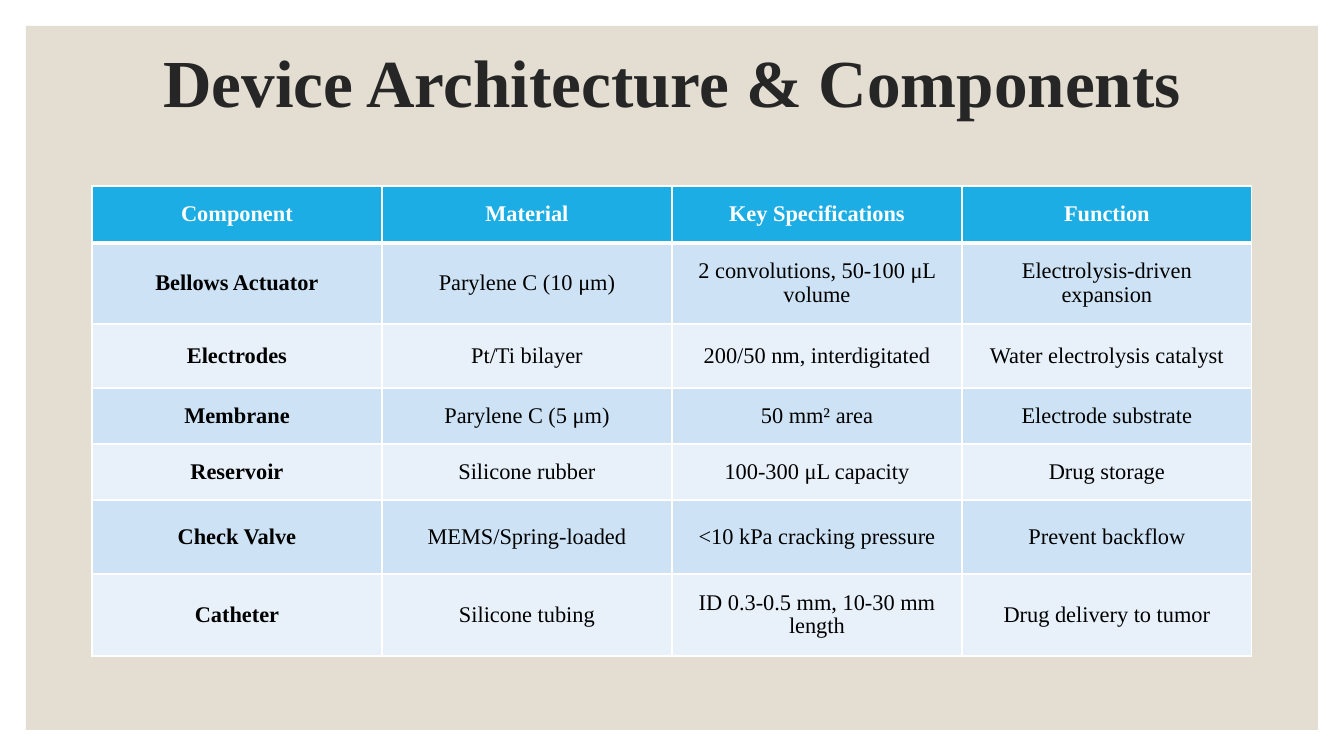
import lxml.etree
import pptx
import pptx.dml.color
import pptx.enum.shapes
import pptx.enum.text
import pptx.oxml.ns
import pptx.util

# Content
TITLE = "Device Architecture & Components"
HEADER = ("Component", "Material", "Key Specifications", "Function")
COMPONENTS = [
    ("Bellows Actuator", "Parylene C (10 μm)", "2 convolutions, 50-100 μL volume",
     "Electrolysis-driven expansion"),
    ("Electrodes", "Pt/Ti bilayer", "200/50 nm, interdigitated",
     "Water electrolysis catalyst"),
    ("Membrane", "Parylene C (5 μm)", "50 mm² area", "Electrode substrate"),
    ("Reservoir", "Silicone rubber", "100-300 μL capacity", "Drug storage"),
    ("Check Valve", "MEMS/Spring-loaded", "<10 kPa cracking pressure",
     "Prevent backflow"),
    ("Catheter", "Silicone tubing", "ID 0.3-0.5 mm, 10-30 mm length",
     "Drug delivery to tumor"),
]

# Layout in px
PX = 914400 / 100.8
SLIDE_SIZE = (1344, 756)
PANEL_BOX = (26, 26, 1292, 704)
TITLE_BOX = (93, 40, 1159, 91)
TABLE_ORIGIN = (92, 186)
COLUMN_WIDTH = 290
ROW_HEIGHTS = (57, 81, 64, 56, 56, 74, 82)
CELL_MARGIN = 16

THEME = {
    "font": "Times New Roman",
    "title_size": 48, "table_size": 16,
    "title_spacing": 0.9, "table_spacing": 0.95,
    "panel": "E3DED1", "title": "262626",
    "header": "1CADE4", "header_text": "FFFFFF",
    "bands": ("CDE3F5", "E8F1FA"), "text": "000000",
    "border": "FFFFFF", "border_width": 1, "header_rule": 3,
}


def px(length):
    return pptx.util.Emu(round(length * PX))


def color(value):
    return pptx.dml.color.RGBColor.from_string(value)


def set_values(target, values):
    for name, value in values.items():
        setattr(target, name, value)


def write(text_frame, text, size, text_color, bold, spacing):
    text_frame.text = text
    paragraph = text_frame.paragraphs[0]
    set_values(paragraph, {"alignment": pptx.enum.text.PP_ALIGN.CENTER,
                           "line_spacing": spacing})
    font = paragraph.runs[0].font
    set_values(font, {"name": THEME["font"], "size": pptx.util.Pt(size), "bold": bold})
    font.color.rgb = color(text_color)


def add_borders(cell, widths):
    properties = cell._tc.get_or_add_tcPr()
    for side, width in widths.items():
        line = lxml.etree.SubElement(properties, pptx.oxml.ns.qn(f"a:ln{side}"),
                                     w=str(pptx.util.Pt(width)))
        fill = lxml.etree.SubElement(line, pptx.oxml.ns.qn("a:solidFill"))
        lxml.etree.SubElement(fill, pptx.oxml.ns.qn("a:srgbClr"), val=THEME["border"])


def add_panel(slide):
    panel = slide.shapes.add_shape(pptx.enum.shapes.MSO_SHAPE.RECTANGLE,
                                   *map(px, PANEL_BOX))
    panel.shadow.inherit = False
    panel.fill.solid()
    panel.fill.fore_color.rgb = color(THEME["panel"])
    panel.line.fill.background()
    slide.shapes._spTree.insert(2, panel._element)  # behind the title


def add_title(slide):
    title = slide.shapes.title
    set_values(title, dict(zip(("left", "top", "width", "height"), map(px, TITLE_BOX))))
    set_values(title.text_frame, {
        "vertical_anchor": pptx.enum.text.MSO_ANCHOR.MIDDLE,
        "auto_size": pptx.enum.text.MSO_AUTO_SIZE.NONE, "word_wrap": True})
    write(title.text_frame, TITLE, THEME["title_size"], THEME["title"], True,
          THEME["title_spacing"])


def format_cell(cell, text, row, column):
    is_header = row == 0
    thin, thick = THEME["border_width"], THEME["header_rule"]
    add_borders(cell, {"L": thin, "R": thin, "T": thick if row == 1 else thin,
                       "B": thick if is_header else thin})
    cell.fill.solid()
    cell.fill.fore_color.rgb = color(
        THEME["header"] if is_header else THEME["bands"][(row - 1) % 2])
    set_values(cell, {f"margin_{side}": px(CELL_MARGIN)
                      for side in ("left", "top", "right", "bottom")})
    cell.vertical_anchor = pptx.enum.text.MSO_ANCHOR.MIDDLE
    write(cell.text_frame, text, THEME["table_size"],
          THEME["header_text"] if is_header else THEME["text"],
          is_header or column == 0, THEME["table_spacing"])


def add_component_table(slide):
    rows = [HEADER, *COMPONENTS]
    table = slide.shapes.add_table(
        len(rows), len(HEADER), *map(px, TABLE_ORIGIN),
        px(COLUMN_WIDTH * len(HEADER)), px(sum(ROW_HEIGHTS))).table
    for column in table.columns:
        column.width = px(COLUMN_WIDTH)
    for row, (texts, height) in enumerate(zip(rows, ROW_HEIGHTS)):
        table.rows[row].height = px(height)
        for column, text in enumerate(texts):
            format_cell(table.cell(row, column), text, row, column)


def main():
    presentation = pptx.Presentation()
    set_values(presentation, dict(zip(("slide_width", "slide_height"),
                                      map(px, SLIDE_SIZE))))
    slide = presentation.slides.add_slide(
        presentation.slide_layouts.get_by_name("Title Only"))
    add_panel(slide)
    add_title(slide)
    add_component_table(slide)
    presentation.save("out.pptx")


if __name__ == "__main__":
    main()
